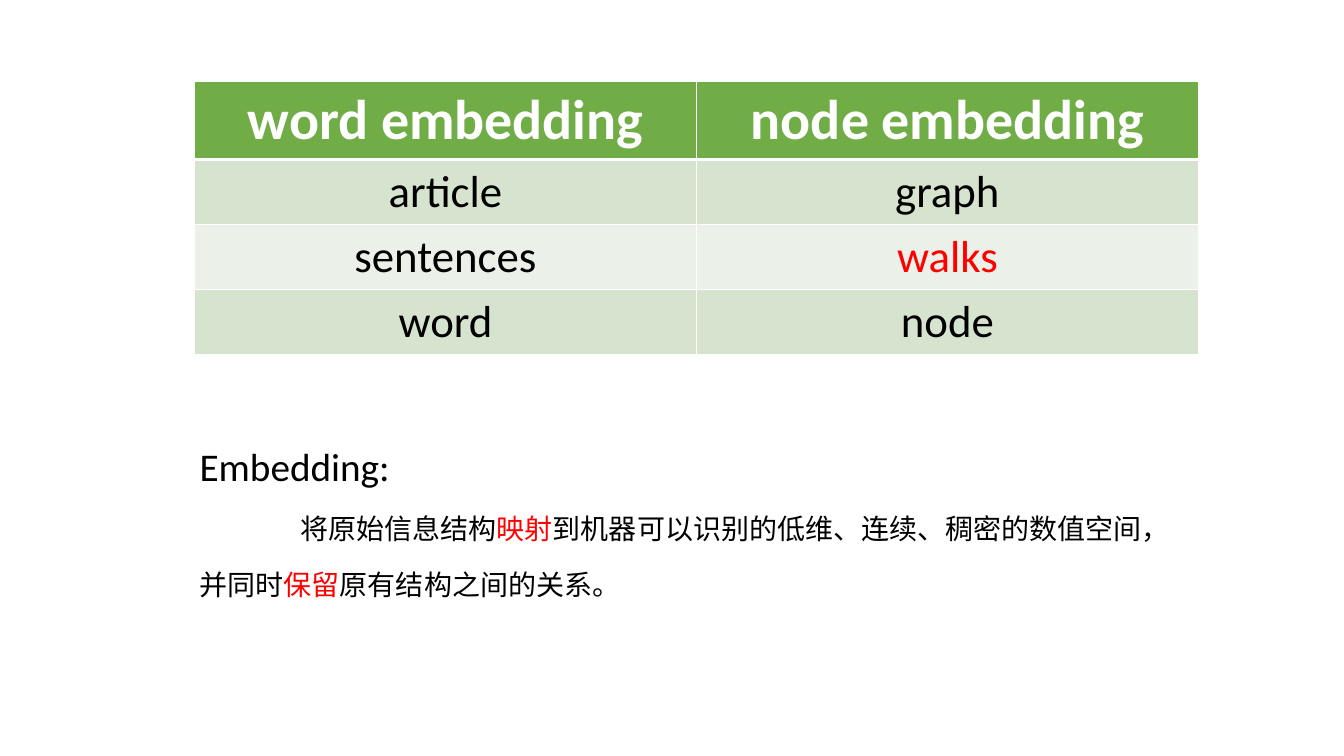
from dataclasses import dataclass

from lxml.etree import SubElement
from pptx import Presentation
from pptx.dml.color import RGBColor
from pptx.enum.text import MSO_AUTO_SIZE, PP_ALIGN
from pptx.oxml.ns import qn
from pptx.slide import Slide
from pptx.table import _Cell
from pptx.text.text import _Paragraph
from pptx.util import Pt

WHITE = RGBColor(0xFF, 0xFF, 0xFF)
BLACK = RGBColor(0, 0, 0)
RED = RGBColor(0xFF, 0, 0)
GREEN = RGBColor(0x70, 0xAD, 0x47)
BAND_DARK = RGBColor(0xD5, 0xE3, 0xCF)
BAND_LIGHT = RGBColor(0xEB, 0xF1, 0xE9)


@dataclass(frozen=True)
class Phrase:
    text: str
    size: float
    color: RGBColor = BLACK
    bold: bool = False


@dataclass(frozen=True)
class Row:
    word_side: Phrase
    node_side: Phrase
    fill: RGBColor
    height: float = 46
    top_line: float = 1
    bottom_line: float = 1


ROWS = [
    Row(Phrase("word embedding", 40, WHITE, True),
        Phrase("node embedding", 40, WHITE, True), GREEN, 55, bottom_line=3),
    Row(Phrase("article", 32), Phrase("graph", 32), BAND_DARK, top_line=3),
    Row(Phrase("sentences", 32), Phrase("walks", 32, RED), BAND_LIGHT),
    Row(Phrase("word", 32), Phrase("node", 32), BAND_DARK),
]

HEADING = [Phrase("Embedding:", 28)]
DEFINITION = [
    Phrase("将原始信息结构", 20),
    Phrase("映射", 20, RED),
    Phrase("到机器可以识别的低维、连续、稠密的数值空间，并同时", 20),
    Phrase("保留", 20, RED),
    Phrase("原有结构之间的关系。", 20),
]


def write_phrase(paragraph: _Paragraph, phrase: Phrase) -> None:
    run = paragraph.add_run()
    run.text = phrase.text
    font_format = {"name": "Calibri", "size": Pt(phrase.size), "bold": phrase.bold}
    for attribute, value in font_format.items():
        setattr(run.font, attribute, value)
    run.font.color.rgb = phrase.color


def draw_borders(cell: _Cell, row: Row) -> None:
    properties = cell._tc.get_or_add_tcPr()
    widths = {"L": 1, "R": 1, "T": row.top_line, "B": row.bottom_line}
    for side, width in widths.items():
        line = SubElement(properties, qn(f"a:ln{side}"), w=str(Pt(width)))
        fill = SubElement(line, qn("a:solidFill"))
        SubElement(fill, qn("a:srgbClr"), val=str(WHITE))


def add_comparison(slide: Slide) -> None:
    height = sum(row.height for row in ROWS)
    comparison = slide.shapes.add_table(
        len(ROWS), 2, Pt(139), Pt(58), Pt(717), Pt(height)).table
    for table_row, row in zip(comparison.rows, ROWS):
        table_row.height = Pt(row.height)
        for cell, phrase in zip(table_row.cells, (row.word_side, row.node_side)):
            draw_borders(cell, row)
            cell.fill.solid()
            cell.fill.fore_color.rgb = row.fill
            paragraph = cell.text_frame.paragraphs[0]
            paragraph.alignment = PP_ALIGN.CENTER
            write_phrase(paragraph, phrase)


def add_explanation(slide: Slide) -> None:
    frame = slide.shapes.add_textbox(Pt(135.5), Pt(306), Pt(716), Pt(128)).text_frame
    frame_format = {"word_wrap": True, "auto_size": MSO_AUTO_SIZE.SHAPE_TO_FIT_TEXT}
    for attribute, value in frame_format.items():
        setattr(frame, attribute, value)
    heading, definition = frame.paragraphs[0], frame.add_paragraph()
    for paragraph, phrases in ((heading, HEADING), (definition, DEFINITION)):
        paragraph.line_spacing = Pt(40)
        for phrase in phrases:
            write_phrase(paragraph, phrase)
    definition._p.get_or_add_pPr().set("indent", str(Pt(72)))


def main() -> None:
    presentation = Presentation()
    presentation.slide_width = Pt(960)
    presentation.slide_height = Pt(540)
    slide = presentation.slides.add_slide(presentation.slide_layouts[6])
    add_comparison(slide)
    add_explanation(slide)
    presentation.save("out.pptx")


if __name__ == "__main__":
    main()
